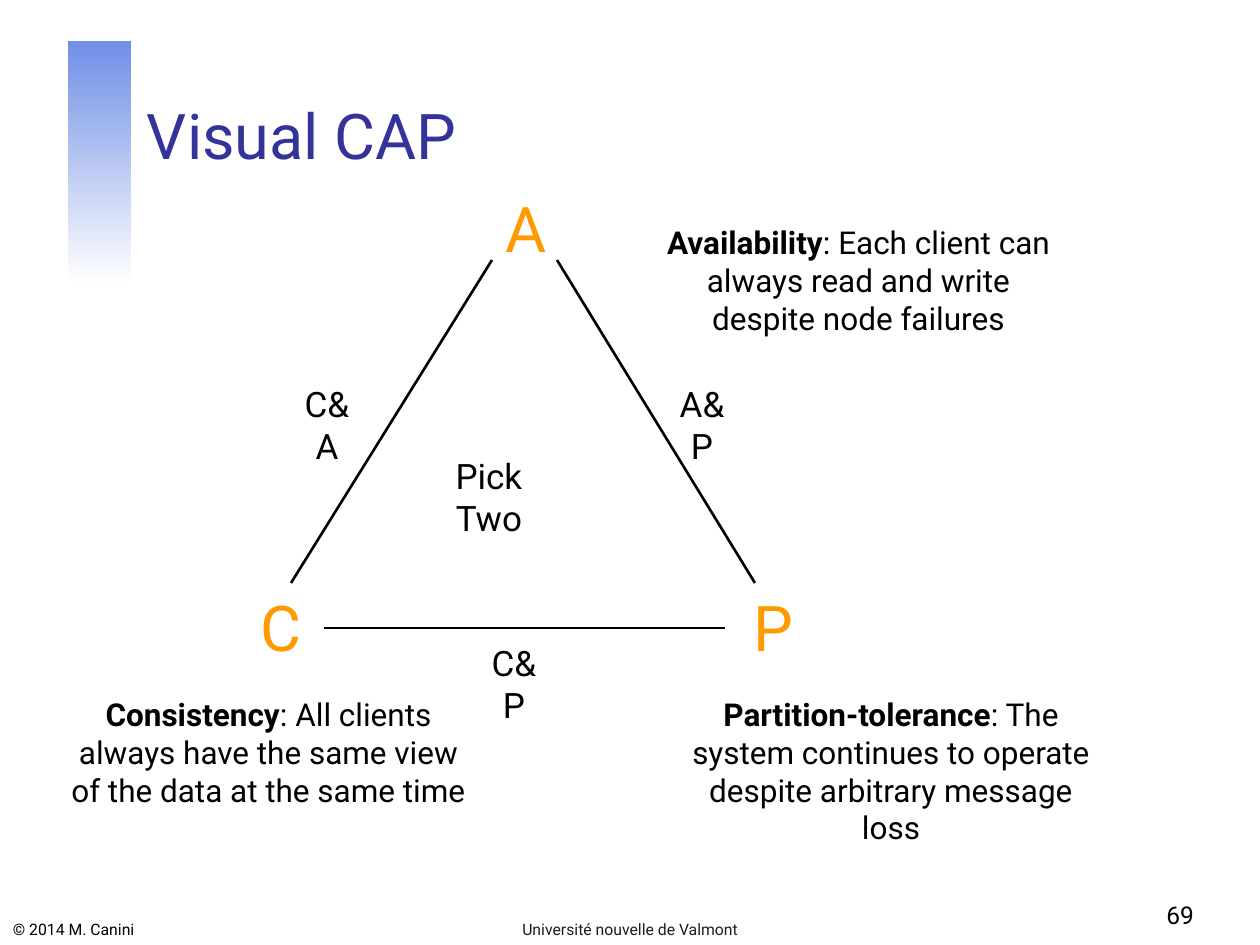
from lxml.etree import SubElement
from pptx import Presentation
from pptx.dml.color import RGBColor
from pptx.enum.shapes import MSO_CONNECTOR, MSO_SHAPE
from pptx.enum.text import MSO_ANCHOR, PP_ALIGN
from pptx.oxml.ns import qn
from pptx.util import Pt

PX = 914400 / 126
COLORS = {
    "black": "000000", "footer": "1C1C1C", "title": "333399",
    "corner": "FF9900", "band": "708FE6", "white": "FFFFFF",
}


def px(value):
    return round(value * PX)


def color(name):
    return RGBColor.from_string(COLORS[name])


def place(shape, box):
    shape.left, shape.top, shape.width, shape.height = map(px, box)


def write(shape, text, size, fill="black", lead="", align=PP_ALIGN.CENTER,
          anchor=MSO_ANCHOR.TOP, wrap=True, inset=13):
    """Fill a shape with one paragraph: a bold lead, then plain text."""
    frame = shape.text_frame
    frame.word_wrap = wrap
    frame.vertical_anchor = anchor
    frame.margin_left = frame.margin_right = px(inset)
    frame.margin_top = frame.margin_bottom = px(6)
    paragraph = frame.paragraphs[0]
    paragraph.alignment = align
    for part, bold in ((lead, True), (text, False)):
        if part:
            run = paragraph.add_run()
            run.text = part
            run.font.name = "Roboto"
            run.font.size = Pt(size)
            run.font.bold = bold
            run.font.color.rgb = color(fill)


def add_text(slide, box, text, size, **style):
    write(slide.shapes.add_textbox(*map(px, box)), text, size, **style)


def add_edge(slide, start, end):
    edge = slide.shapes.add_connector(
        MSO_CONNECTOR.STRAIGHT, *map(px, start + end))
    edge.line.color.rgb = color("black")
    edge.line.width = Pt(1.5)
    SubElement(edge._element.spPr, qn("a:effectLst"))


def add_header(slide, left, top):
    band = slide.shapes.add_shape(
        MSO_SHAPE.RECTANGLE, *map(px, (left, top, 63, 243)))
    band.shadow.inherit = False
    band.line.fill.background()
    band.fill.gradient()
    band.fill.gradient_angle = 270
    for stop, name in zip(band.fill.gradient_stops, ("band", "white")):
        stop.color.rgb = color(name)
    title = slide.shapes.title
    place(title, (left + 66, top + 1, 1074, 136))
    write(title, "Visual CAP", 36, fill="title",
          align=PP_ALIGN.LEFT, anchor=MSO_ANCHOR.BOTTOM)


def add_triangle(slide, left, top):
    """Draw the three lettered corners, the edges and their labels."""
    for letter, x, y in (("A", 245, 0), ("C", 0, 399), ("P", 493, 399)):
        add_text(slide, (left + x, top + y, 64, 89), letter, 36,
                 fill="corner", wrap=False)

    for start, end in (((43, 399), (244, 76)),
                       ((507, 399), (309, 76)),
                       ((76, 444), (477, 444))):
        add_edge(slide, (left + start[0], top + start[1]),
                 (left + end[0], top + end[1]))

    for label, x, y, width in (("C&A", 44, 193, 70), ("A&P", 419, 193, 70),
                               ("C&P", 231, 452, 70), ("Pick Two", 196, 265, 90)):
        add_text(slide, (left + x, top + y, width, 96), label, 20, inset=10)


def add_definitions(slide, left, top):
    definitions = (
        ("Availability", ": Each client can always read and write "
         "despite node failures", 590, 0, 437),
        ("Consistency", ": All clients always have the same view "
         "of the data at the same time", 0, 472, 437),
        ("Partition-tolerance", ": The system continues to operate "
         "despite arbitrary message loss", 616, 472, 450),
    )
    for term, meaning, x, y, width in definitions:
        add_text(slide, (left + x, top + y, width, 127), meaning, 18, lead=term)


def add_footer(slide, bottom):
    notes = (
        ("© 2014 M. Canini", 0, 0, 380, 9, "black", PP_ALIGN.LEFT),
        ("Université nouvelle de Valmont", 431, 0, 398, 9, "footer", PP_ALIGN.CENTER),
        ("69", 945, 10, 262, 14, "black", PP_ALIGN.RIGHT),
    )
    for text, left, lift, width, size, fill, align in notes:
        add_text(slide, (left, bottom - lift - 35, width, 35), text, size,
                 fill=fill, align=align, anchor=MSO_ANCHOR.BOTTOM)


def main():
    presentation = Presentation()
    presentation.slide_width = px(1260)
    presentation.slide_height = px(945)
    slide = presentation.slides.add_slide(presentation.slide_layouts[5])
    add_header(slide, 68, 41)
    add_triangle(slide, 248, 184)
    add_definitions(slide, 50, 217)
    add_footer(slide, 945)
    presentation.save("out.pptx")


if __name__ == "__main__":
    main()
